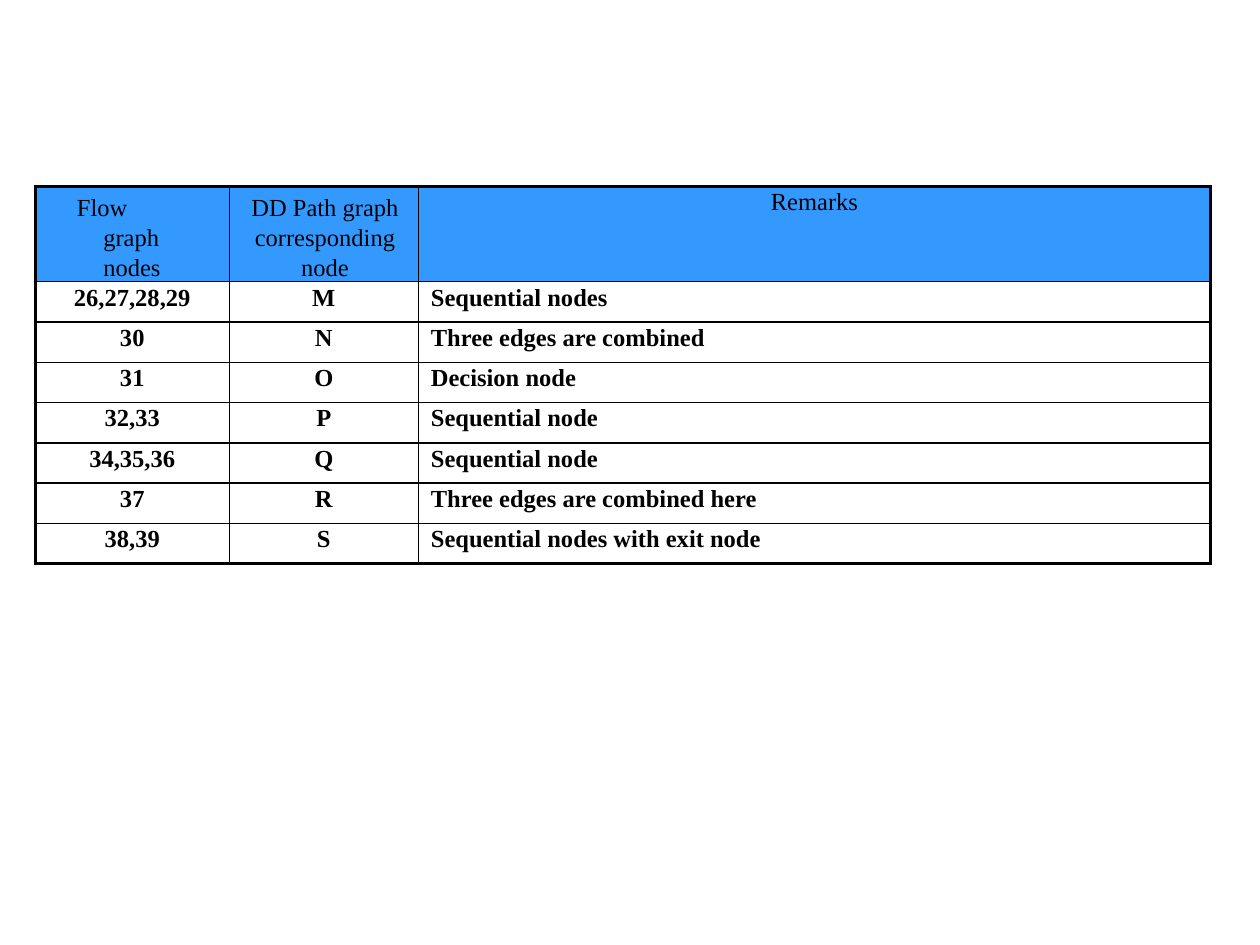
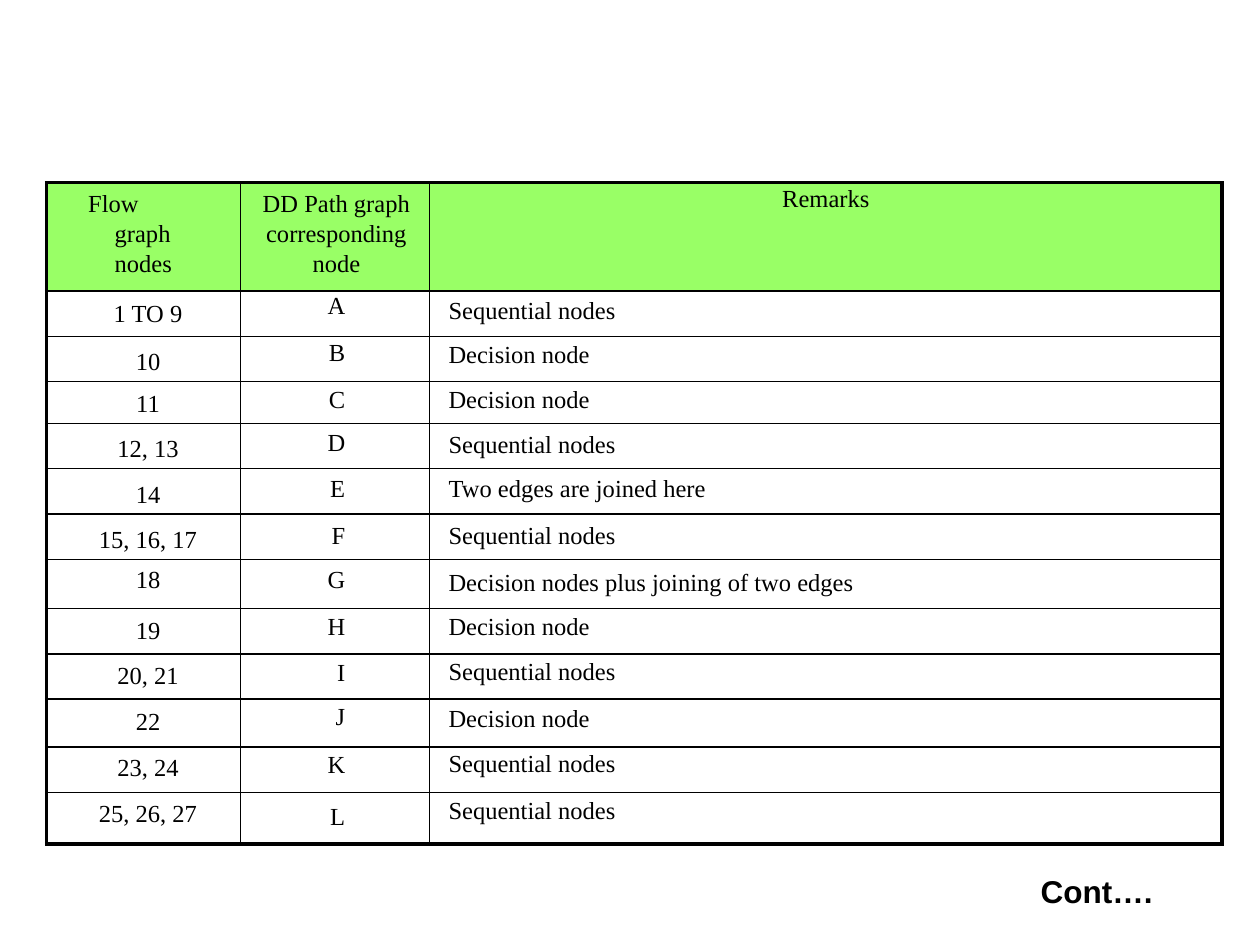
from lxml.etree import SubElement
from pptx import Presentation
from pptx.dml.color import RGBColor
from pptx.enum.text import PP_ALIGN
from pptx.oxml.ns import qn
from pptx.util import Inches, Pt

BLACK = "000000"
TABLE_FONT = "Times New Roman"
COLUMN_WIDTHS = [1.54, 1.5, 6.29]
HEADINGS = ["Flow graph nodes", "DD Path graph corresponding node", "Remarks"]
HEADING_TOPS = [0.04, 0.04, 0.02]
HEADING_ALIGNMENTS = [PP_ALIGN.LEFT, PP_ALIGN.CENTER, PP_ALIGN.CENTER]
HEADING_INDENTS = [(0.54, 0.5, -0.21), (0.16, 0.14, 0), (0, 0, 0)]
HEADING_SPACINGS = [1.11, 1.11, 1]

TABLES = [
    {
        "left": 0.28,
        "top": 1.48,
        "header_height": 0.75,
        "header_color": "3399FF",
        "bold": True,
        "alignments": [PP_ALIGN.CENTER, PP_ALIGN.CENTER, PP_ALIGN.LEFT],
        "indents": [(0, 0, 0), (0, 0, 0), (0.1, 0, 0)],
        "rows": [
            (0.32, ["26,27,28,29", "M", "Sequential nodes"], [0.02] * 3),
            (0.32, ["30", "N", "Three edges are combined"], [0.02] * 3),
            (0.32, ["31", "O", "Decision node"], [0.02] * 3),
            (0.32, ["32,33", "P", "Sequential node"], [0.02] * 3),
            (0.32, ["34,35,36", "Q", "Sequential node"], [0.02] * 3),
            (0.32, ["37", "R", "Three edges are combined here"], [0.02] * 3),
            (0.32, ["38,39", "S", "Sequential nodes with exit node"], [0.02] * 3),
        ],
    },
    {
        "left": 0.37,
        "top": 1.45,
        "header_height": 0.86,
        "header_color": "99FF66",
        "bold": False,
        "alignments": [PP_ALIGN.CENTER, PP_ALIGN.RIGHT, PP_ALIGN.LEFT],
        "indents": [(0.07, 0, 0), (0, 0.67, 0), (0.15, 0, 0)],
        "rows": [
            (0.36, ["1 TO 9", "A", "Sequential nodes"], [0.08, 0.01, 0.05]),
            (0.36, ["10", "B", "Decision node"], [0.1, 0.03, 0.04]),
            (0.33, ["11", "C", "Decision node"], [0.07, 0.04, 0.04]),
            (0.36, ["12, 13", "D", "Sequential nodes"], [0.1, 0.05, 0.07]),
            (0.36, ["14", "E", "Two edges are joined here"], [0.1, 0.06, 0.06]),
            (0.36, ["15, 16, 17", "F", "Sequential nodes"], [0.1, 0.07, 0.07]),
            (0.39, ["18", "G", "Decision nodes plus joining of two edges"], [0.06, 0.06, 0.08]),
            (0.36, ["19", "H", "Decision node"], [0.07, 0.04, 0.04]),
            (0.36, ["20, 21", "I", "Sequential nodes"], [0.07, 0.05, 0.04]),
            (0.38, ["22", "J", "Decision node"], [0.08, 0.04, 0.05]),
            (0.36, ["23, 24", "K", "Sequential nodes"], [0.06, 0.04, 0.03]),
            (0.41, ["25, 26, 27", "L", "Sequential nodes"], [0.07, 0.09, 0.04]),
        ],
    },
]


def color(value):
    return RGBColor.from_string(value)


def add_border(cell, side, width):
    line = SubElement(cell._tc.get_or_add_tcPr(), qn(f"a:ln{side}"), w=str(Pt(width)))
    fill = SubElement(line, qn("a:solidFill"))
    SubElement(fill, qn("a:srgbClr"), val=BLACK)


presentation = Presentation()
presentation.slide_width = Inches(10)
presentation.slide_height = Inches(7.5)

for settings in TABLES:
    slide = presentation.slides.add_slide(presentation.slide_layouts[6])
    rows = [(settings["header_height"], HEADINGS, HEADING_TOPS)] + settings["rows"]
    last_row = len(rows) - 1
    last_column = len(COLUMN_WIDTHS) - 1
    table = slide.shapes.add_table(
        len(rows), len(COLUMN_WIDTHS),
        Inches(settings["left"]), Inches(settings["top"]),
        Inches(sum(COLUMN_WIDTHS)), Inches(sum(row[0] for row in rows)),
    ).table
    table.first_row = False
    table.horz_banding = False
    for column, width in zip(table.columns, COLUMN_WIDTHS):
        column.width = Inches(width)

    for row_index, (height, texts, tops) in enumerate(rows):
        table.rows[row_index].height = Inches(height)
        is_header = row_index == 0
        alignments = HEADING_ALIGNMENTS if is_header else settings["alignments"]
        indents = HEADING_INDENTS if is_header else settings["indents"]
        for column_index, text in enumerate(texts):
            cell = table.cell(row_index, column_index)
            cell.margin_left = cell.margin_right = cell.margin_bottom = 0
            cell.margin_top = Inches(tops[column_index])
            outer_sides = {
                "L": column_index == 0,
                "R": column_index == last_column,
                "T": is_header,
                "B": row_index == last_row,
            }
            for side, is_outer in outer_sides.items():
                add_border(cell, side, 2.25 if is_outer else 1)
            if is_header:
                cell.fill.solid()
                cell.fill.fore_color.rgb = color(settings["header_color"])
            else:
                cell.fill.background()

            paragraph = cell.text_frame.paragraphs[0]
            paragraph.text = text
            paragraph.alignment = alignments[column_index]
            if is_header:
                paragraph.line_spacing = HEADING_SPACINGS[column_index]
            properties = paragraph._p.get_or_add_pPr()
            for name, indent in zip(("marL", "marR", "indent"), indents[column_index]):
                properties.set(name, str(Inches(indent)))
            font = paragraph.runs[0].font
            font.name = TABLE_FONT
            font.size = Pt(14)
            font.bold = settings["bold"] and not is_header
            font.color.rgb = color(BLACK)

continuation = slide.shapes.add_textbox(Inches(8.25), Inches(6.91), Inches(0.92), Inches(0.33))
text_frame = continuation.text_frame
text_frame.margin_left = Inches(0.01)
text_frame.margin_right = text_frame.margin_bottom = 0
text_frame.margin_top = Inches(0.01)
text_frame.text = "Cont…."
font = text_frame.paragraphs[0].runs[0].font
font.name = "Arial"
font.size = Pt(18)
font.bold = True
font.color.rgb = color(BLACK)

presentation.save("out.pptx")
